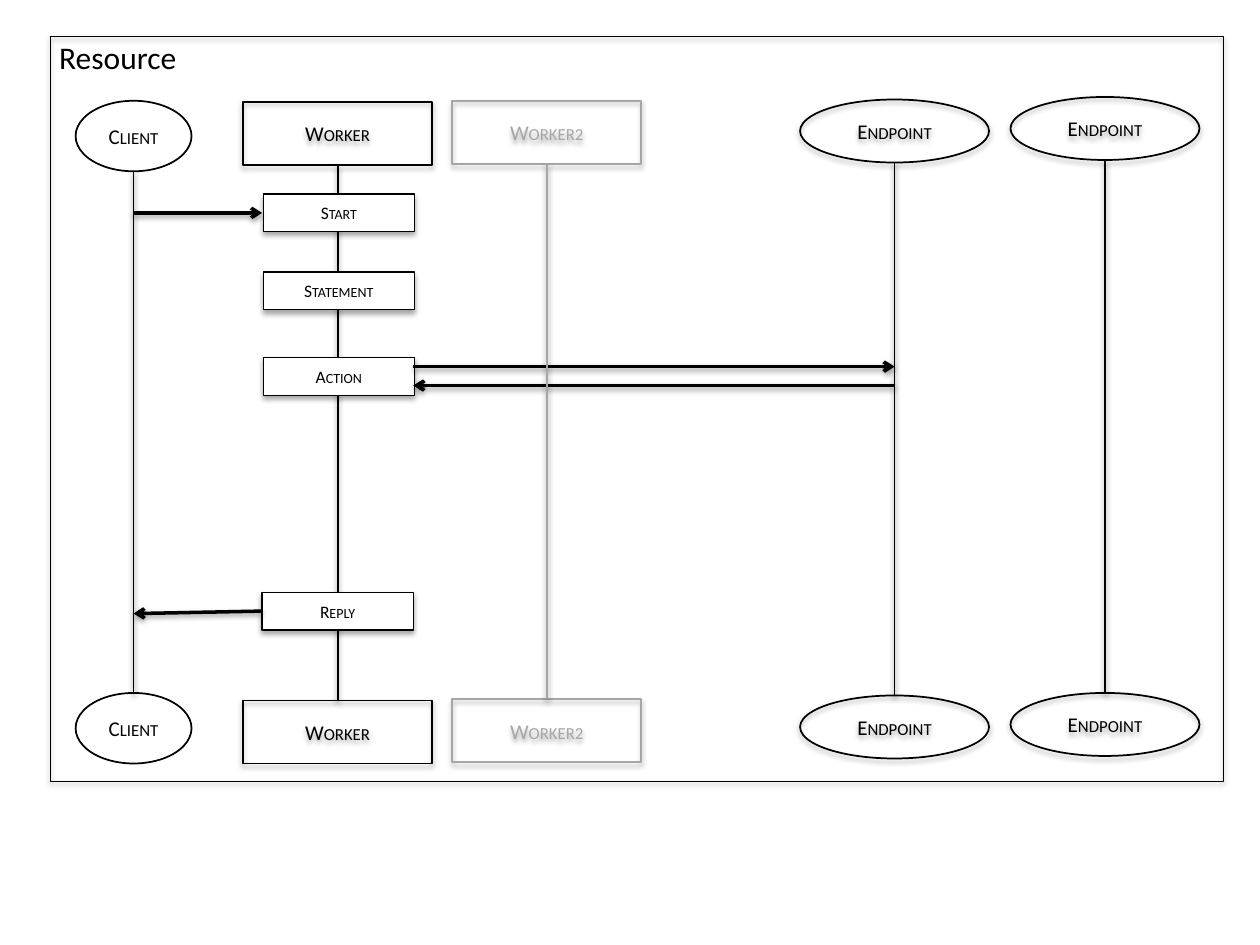
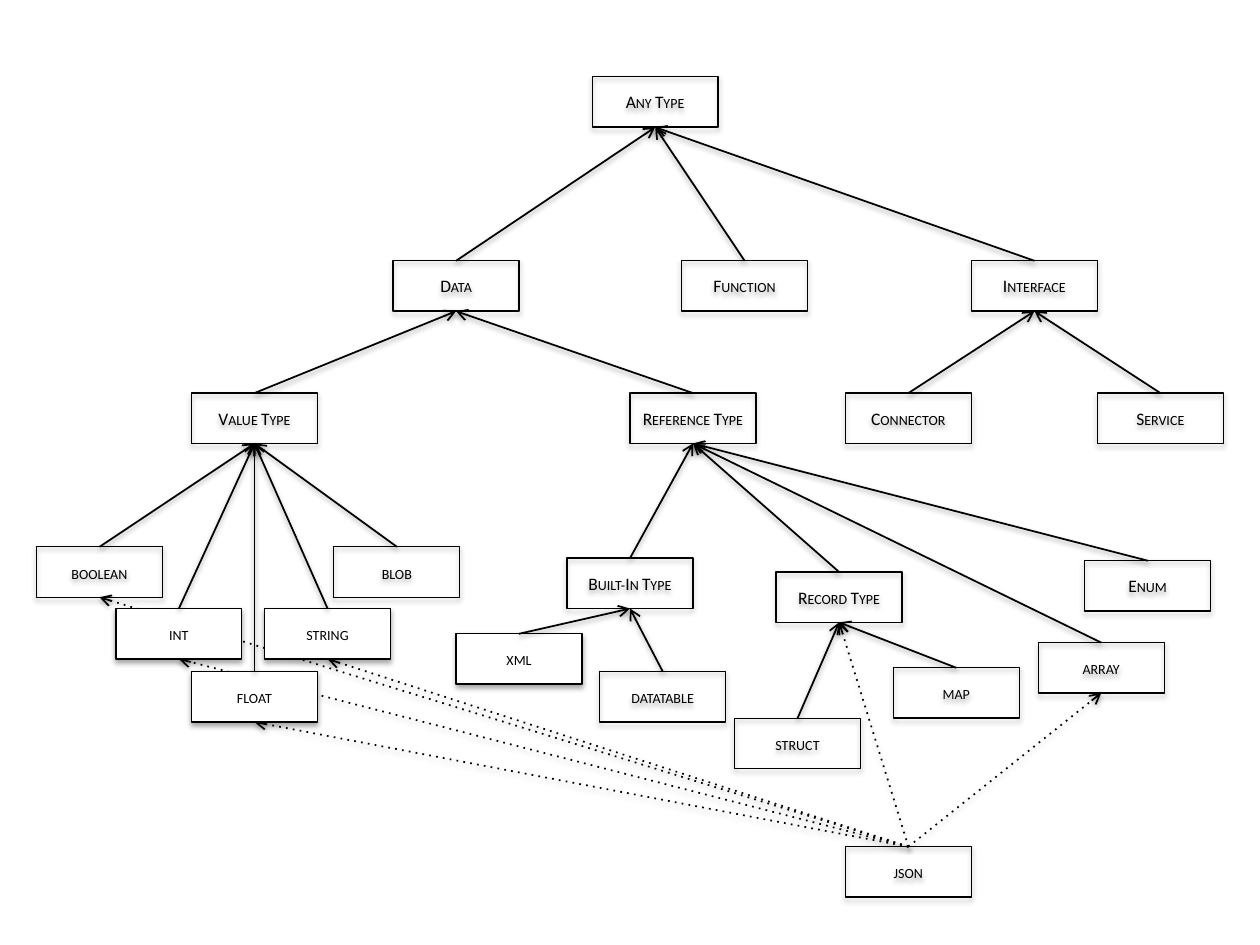
"""Draw a worker sequence diagram and a type hierarchy on a shared grid."""
from dataclasses import dataclass

from lxml import etree
from pptx import Presentation, util as u
from pptx.dml.color import RGBColor
from pptx.enum import shapes, text
from pptx.oxml.ns import qn

RECT, OVAL = shapes.MSO_SHAPE.RECTANGLE, shapes.MSO_SHAPE.OVAL
COLUMNS, ROWS = 100, 75
Point = tuple[float, float]


@dataclass(frozen=True)
class Theme:
    """Colours, type sizes in points and line widths in points."""
    font: str = "Calibri"
    ink: str = "000000"
    muted: str = "A6A6A6"
    paper: str = "FFFFFF"
    title: float = 18
    head: float = 12
    label: float = 10
    thin: float = 0.75
    line: float = 1
    message: float = 2


@dataclass(frozen=True)
class Lifeline:
    """A participant shown at both ends of a vertical line."""
    name: str
    x: float
    top: float
    bottom: float
    width: float = 15
    height: float = 5
    kind: shapes.MSO_SHAPE = RECT
    ink: str = "000000"
    shadow: bool = True


@dataclass(frozen=True)
class Step:
    """A box on the worker's lifeline."""
    name: str
    x: float
    y: float


@dataclass(frozen=True)
class Node:
    """A type in the hierarchy, with the name of its parent."""
    name: str
    x: float
    y: float
    parent: str = ""
    filled: bool = False

    @property
    def head(self) -> Point:
        """Middle of the top edge."""
        return self.x + NODE_W / 2, self.y

    @property
    def foot(self) -> Point:
        """Middle of the bottom edge."""
        return self.x + NODE_W / 2, self.y + NODE_H


T = Theme()
STEP_W, STEP_H = 12, 3
NODE_W, NODE_H = 10, 4

CLIENT = Lifeline("Client", 10.6, 8, 55, 9.2, 5.6, OVAL, shadow=False)
WORKER = Lifeline("Worker", 26.8, 8.1, 55.6)
ENDPOINT = Lifeline("Endpoint", 71, 7.9, 55.2, kind=OVAL)
ENDPOINT_2 = Lifeline("Endpoint", 87.7, 7.7, 55, kind=OVAL)
WORKER_2 = Lifeline("Worker2", 43.4, 8, 55.5, ink=T.muted)

STEPS = [Step("Start", 20.9, 15.4), Step("Statement", 20.9, 21.6),
         Step("Action", 20.9, 28.4), Step("Reply", 20.8, 47)]
STEP_LEFT, STEP_RIGHT = 20.8, 32.8
MESSAGES = [((CLIENT.x, 16.9), (STEP_LEFT, 16.9)),
            ((STEP_LEFT, 48.5), (CLIENT.x, 48.7)),
            ((STEP_RIGHT, 29.1), (ENDPOINT.x, 29.1)),
            ((ENDPOINT.x, 30.6), (STEP_RIGHT, 30.6))]

NODES = [
    Node("Any Type", 47, 6.1),
    Node("Data", 31.2, 20.7, "Any Type"),
    Node("Function", 54.1, 20.7, "Any Type"),
    Node("Interface", 77.1, 20.7, "Any Type"),
    Node("Value Type", 15.2, 31.2, "Data"),
    Node("Reference Type", 50, 31.2, "Data"),
    Node("Connector", 67.1, 31.2, "Interface"),
    Node("Service", 87.1, 31.2, "Interface"),
    Node("boolean", 2.9, 43.4, "Value Type"),
    Node("int", 9.2, 48.3, "Value Type", True),
    Node("float", 15.2, 53.3, "Value Type", True),
    Node("string", 21, 48.3, "Value Type", True),
    Node("blob", 26.5, 43.4, "Value Type"),
    Node("Built-In Type", 45, 44.3, "Reference Type"),
    Node("Record Type", 61.6, 45.4, "Reference Type"),
    Node("array", 82.4, 51, "Reference Type"),
    Node("Enum", 86.1, 44.5, "Reference Type"),
    Node("xml", 36.2, 50.3, "Built-In Type", True),
    Node("datatable", 47.6, 53.3, "Built-In Type"),
    Node("struct", 58.3, 57, "Record Type"),
    Node("map", 70.9, 53, "Record Type"),
    Node("json", 67.1, 67.2),
]
JSON_FORMS = ["string", "float", "boolean", "int", "Record Type", "array"]

prs = Presentation()
prs.slide_width, prs.slide_height = u.Inches(10), u.Inches(7.5)


def col(n: float) -> int:
    """Length of n grid columns."""
    return round(prs.slide_width * n / COLUMNS)


def row(n: float) -> int:
    """Length of n grid rows."""
    return round(prs.slide_height * n / ROWS)


def add_effects(sp, distance: float, opacity: int, visible: bool = True) -> None:
    """Give a shape its own soft shadow, or none at all."""
    effects = etree.SubElement(sp.element.spPr, qn("a:effectLst"))
    if visible:
        shadow = etree.SubElement(
            effects, qn("a:outerShdw"), blurRad=str(u.Pt(3.1)),
            dist=str(u.Pt(distance)), dir="5400000", rotWithShape="0")
        black = etree.SubElement(shadow, qn("a:srgbClr"), val=T.ink)
        etree.SubElement(black, qn("a:alpha"), val=str(opacity * 1000))


def write(sp, words: str, *, size: float, ink: str = T.ink, small: bool = True,
          align=text.PP_ALIGN.CENTER, anchor=text.MSO_ANCHOR.MIDDLE) -> None:
    """Put one formatted run into a shape."""
    tf = sp.text_frame
    tf.word_wrap, tf.vertical_anchor = True, anchor
    p = tf.paragraphs[0]
    p.alignment = align
    r = p.add_run()
    r.text = words
    r.font.name, r.font.size = T.font, u.Pt(size)
    r.font.color.rgb = RGBColor.from_string(ink)
    if small:
        r._r.get_or_add_rPr().set("cap", "small")


def add_box(s, x: float, y: float, w: float, h: float, words: str = "", *,
            kind=RECT, size: float = T.label, ink: str = T.ink,
            weight: float = T.thin, filled: bool = False,
            shadow: bool = True) -> None:
    """Draw an outlined shape with an optional centred label."""
    sp = s.shapes.add_shape(kind, col(x), row(y), col(w), row(h))
    if filled:
        sp.fill.solid()
        sp.fill.fore_color.rgb = RGBColor.from_string(T.paper)
    else:
        sp.fill.background()
    sp.line.color.rgb = RGBColor.from_string(ink)
    sp.line.width = u.Pt(weight)
    add_effects(sp, 1.8, 35, shadow)
    if words:
        write(sp, words, size=size, ink=ink)


def add_line(s, start: Point, end: Point, *, weight: float = T.line,
             ink: str = T.ink, arrow: bool = True, dotted: bool = False) -> None:
    """Draw a straight line between two grid points."""
    c = s.shapes.add_connector(shapes.MSO_CONNECTOR.STRAIGHT, col(start[0]),
                               row(start[1]), col(end[0]), row(end[1]))
    c.line.color.rgb = RGBColor.from_string(ink)
    c.line.width = u.Pt(weight)
    ln = c.element.spPr.find(qn("a:ln"))
    if dotted:
        etree.SubElement(ln, qn("a:prstDash"), val="dot")
    if arrow:
        etree.SubElement(ln, qn("a:tailEnd"), type="arrow")
    add_effects(c, 1.6, 38)


def add_lifeline(s, life: Lifeline) -> None:
    """Draw a participant's two ends and the line that joins them."""
    for y in (life.top, life.bottom):
        add_box(s, life.x - life.width / 2, y, life.width, life.height,
                life.name, kind=life.kind, size=T.head, ink=life.ink,
                weight=T.line, shadow=life.shadow)
    add_line(s, (life.x, life.top + life.height), (life.x, life.bottom),
             ink=life.ink, arrow=False)


def build_sequence() -> None:
    """Build the slide with the resource's sequence diagram."""
    s = prs.slides.add_slide(prs.slide_layouts.get_by_name("Title Only"))
    title = s.shapes.title
    title.left, title.top = col(3.7), row(2.5)
    title.width, title.height = col(13.4), row(4)
    write(title, "Resource", size=T.title, small=False,
          align=text.PP_ALIGN.LEFT, anchor=text.MSO_ANCHOR.TOP)
    title.text_frame.auto_size = text.MSO_AUTO_SIZE.SHAPE_TO_FIT_TEXT
    for life in (WORKER, CLIENT, ENDPOINT, ENDPOINT_2):
        add_lifeline(s, life)
    for step in STEPS:
        add_box(s, step.x, step.y, STEP_W, STEP_H, step.name, filled=True)
    for start, end in MESSAGES:
        add_line(s, start, end, weight=T.message)
    add_lifeline(s, WORKER_2)
    add_box(s, 4, 2.9, 93.1, 59.1)


def build_types() -> None:
    """Build the slide with the type hierarchy."""
    s = prs.slides.add_slide(prs.slide_layouts.get_by_name("Blank"))
    nodes = {node.name: node for node in NODES}
    for name in JSON_FORMS:
        add_line(s, nodes["json"].head, nodes[name].foot, dotted=True)
    for node in NODES:
        add_box(s, node.x, node.y, NODE_W, NODE_H, node.name,
                filled=node.filled)
    for node in NODES:
        if node.parent:
            add_line(s, node.head, nodes[node.parent].foot)


build_sequence()
build_types()
prs.save("out.pptx")
